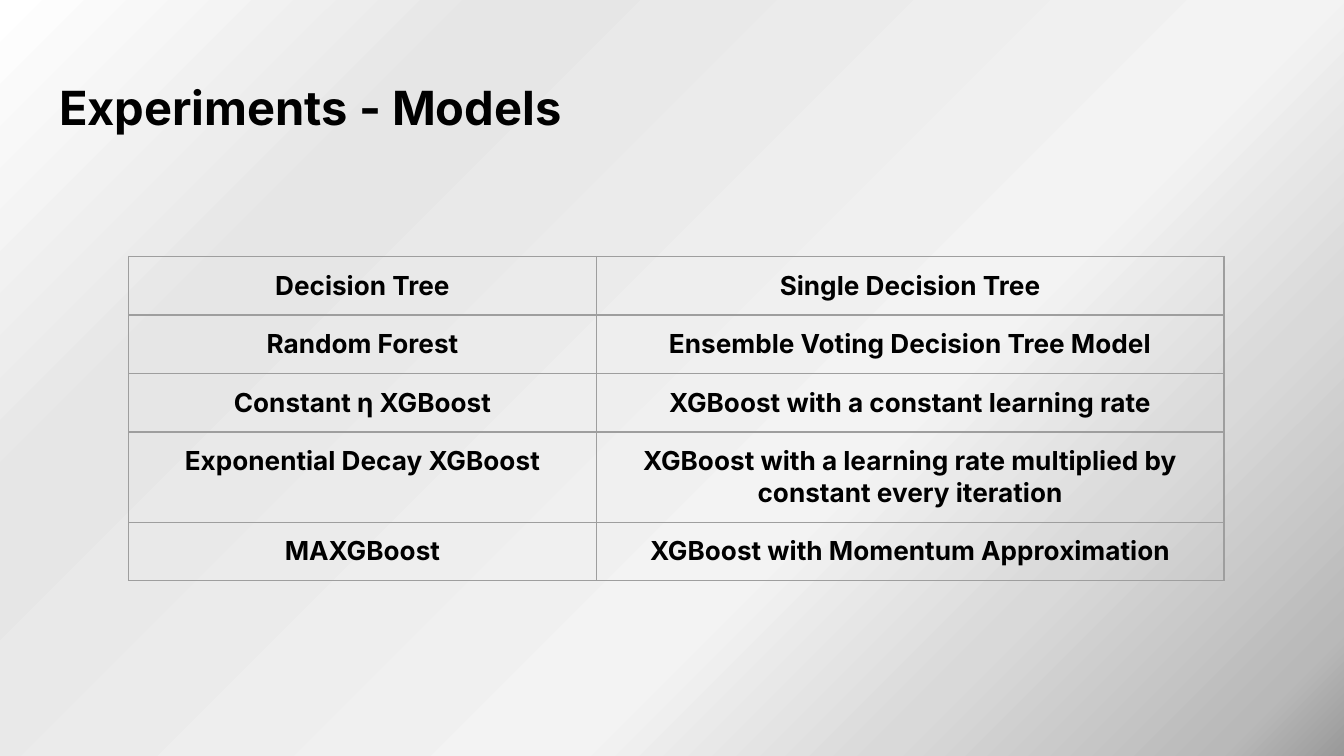
import copy

import lxml.etree
import pptx
import pptx.dml.color
import pptx.enum.text
import pptx.oxml.ns
import pptx.util

Pt = pptx.util.Pt
RGBColor = pptx.dml.color.RGBColor
Align = pptx.enum.text.PP_ALIGN
Anchor = pptx.enum.text.MSO_ANCHOR
qn = pptx.oxml.ns.qn

BLACK = RGBColor(0x00, 0x00, 0x00)
BORDER = RGBColor(0x9E, 0x9E, 0x9E)
BACKGROUND_STOPS = [
    (0, RGBColor(0xFF, 0xFF, 0xFF)),
    (0.24, RGBColor(0xE6, 0xE6, 0xE6)),
    (0.63, RGBColor(0xF3, 0xF3, 0xF3)),
    (0.78, RGBColor(0xD9, 0xD9, 0xD9)),
    (0.94, RGBColor(0xB9, 0xB9, 0xB9)),
    (1, RGBColor(0x99, 0x99, 0x99)),
]

MODELS = [
    ("Decision Tree", "Single Decision Tree"),
    ("Random Forest", "Ensemble Voting Decision Tree Model"),
    ("Constant η XGBoost", "XGBoost with a constant learning rate"),
    ("Exponential Decay XGBoost",
     "XGBoost with a learning rate multiplied by constant every iteration"),
    ("MAXGBoost", "XGBoost with Momentum Approximation"),
]
COLUMN_WIDTHS = [250.6, 336.2]
ROW_HEIGHTS = [21.6] + [30.24] * 4


class SlideBuilder:
    font_name = "Inter"
    inset = 7.2
    border_width = 0.75

    def __init__(self, page):
        self.page = page

    def apply(self, target, values):
        for name, value in values.items():
            setattr(target, name, value)

    def margins(self):
        sides = ("left", "top", "right", "bottom")
        return {f"margin_{side}": Pt(self.inset) for side in sides}

    def add_text(self, frame, text, size, align):
        para = frame.paragraphs[0]
        para.alignment = align
        span = para.add_run()
        span.text = text
        self.apply(span.font, {"name": self.font_name, "size": Pt(size), "bold": True})
        span.font.color.rgb = BLACK

    def background(self, stops, angle):
        fill = self.page.background.fill
        fill.gradient()
        fill.gradient_angle = angle
        stop_list = next(self.page.element.iter(qn("a:gsLst")))
        while len(stop_list) < len(stops):
            stop_list.append(copy.deepcopy(stop_list[0]))
        for stop, (position, color) in zip(fill.gradient_stops, stops):
            stop.position = position
            stop.color.rgb = color

    def title(self, text, left, top, width, height, size):
        box = self.page.shapes.title
        self.apply(box, {"left": Pt(left), "top": Pt(top),
                         "width": Pt(width), "height": Pt(height)})
        self.apply(box.text_frame, {
            "word_wrap": True,
            "auto_size": pptx.enum.text.MSO_AUTO_SIZE.NONE,
            "vertical_anchor": Anchor.TOP,
            **self.margins(),
        })
        self.add_text(box.text_frame, text, size, Align.LEFT)

    def cell_borders(self, cell):
        properties = cell._tc.get_or_add_tcPr()
        for index, side in enumerate(("lnL", "lnR", "lnT", "lnB")):
            line = lxml.etree.Element(qn(f"a:{side}"), w=str(Pt(self.border_width)))
            solid = lxml.etree.SubElement(line, qn("a:solidFill"))
            lxml.etree.SubElement(solid, qn("a:srgbClr"), val=str(BORDER))
            properties.insert(index, line)

    def table(self, rows, left, top, widths, heights, size):
        table = self.page.shapes.add_table(
            len(rows), len(widths), Pt(left), Pt(top),
            Pt(sum(widths)), Pt(sum(heights))).table
        self.apply(table, {"first_row": False, "horz_banding": False})
        for column, width in zip(table.columns, widths):
            column.width = Pt(width)
        for row, height, texts in zip(table.rows, heights, rows):
            row.height = Pt(height)
            for cell, text in zip(row.cells, texts):
                self.apply(cell, {"vertical_anchor": Anchor.TOP, **self.margins()})
                cell.fill.background()
                self.cell_borders(cell)
                self.add_text(cell.text_frame, text, size, Align.CENTER)


def main():
    deck = pptx.Presentation()
    deck.slide_width, deck.slide_height = Pt(720), Pt(405)
    title_only = deck.slide_layouts[5]
    builder = SlideBuilder(deck.slides.add_slide(title_only))

    # Diagonal backdrop, light at top left
    builder.background(BACKGROUND_STOPS, 315)

    # Heading
    builder.title("Experiments - Models", 24.5, 35, 671, 45.1, 25.2)

    # Models and what they do
    builder.table(MODELS, 68.9, 137.4, COLUMN_WIDTHS, ROW_HEIGHTS, 14)

    deck.save("out.pptx")


if __name__ == "__main__":
    main()
